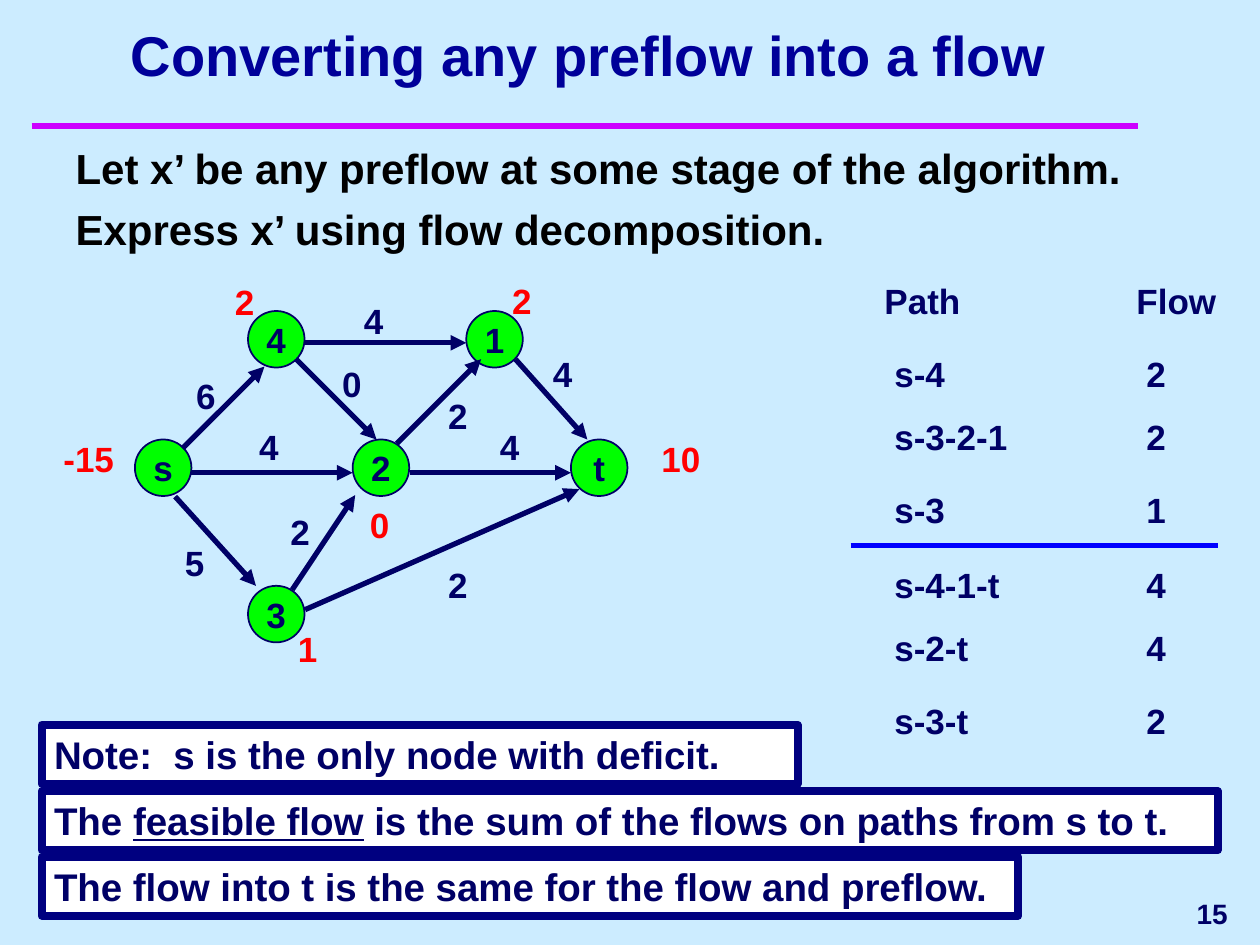
import pptx
import pptx.dml.color
import pptx.enum.shapes
import pptx.enum.text
import pptx.oxml.ns
import pptx.util
from lxml import etree

Cm = pptx.util.Cm
Pt = pptx.util.Pt
RGBColor = pptx.dml.color.RGBColor
ALIGN = pptx.enum.text.PP_ALIGN
ANCHOR = pptx.enum.text.MSO_ANCHOR
SHAPE = pptx.enum.shapes.MSO_SHAPE
qn = pptx.oxml.ns.qn

SKY = RGBColor(0xCC, 0xEC, 0xFF)
MAGENTA = RGBColor(0xCC, 0x00, 0xFF)
TITLE_BLUE = RGBColor(0x00, 0x00, 0x99)
NAVY = RGBColor(0x00, 0x00, 0x66)
FRAME_NAVY = RGBColor(0x00, 0x00, 0x80)
BLUE = RGBColor(0x00, 0x00, 0xFF)
RED = RGBColor(0xFF, 0x00, 0x00)
GREEN = RGBColor(0x00, 0xFF, 0x00)
BLACK = RGBColor(0x00, 0x00, 0x00)
WHITE = RGBColor(0xFF, 0xFF, 0xFF)

deck = pptx.Presentation()
deck.slide_width = Cm(25.4)
deck.slide_height = Cm(19.05)
page = deck.slides.add_slide(deck.slide_layouts[1])
page.background.fill.solid()
page.background.fill.fore_color.rgb = SKY


def write(box, lines, size, color, align=ALIGN.LEFT, anchor=ANCHOR.TOP):
    frame = box.text_frame
    frame.word_wrap = True
    frame.auto_size = pptx.enum.text.MSO_AUTO_SIZE.NONE
    frame.vertical_anchor = anchor
    frame.text = "\n".join(lines)
    for para in frame.paragraphs:
        para.alignment = align
        for span in para.runs:
            span.font.name = "Arial"
            span.font.size = Pt(size)
            span.font.bold = True
            span.font.color.rgb = color


def draw_line(start, end, color, width, arrow=False):
    line = page.shapes.add_connector(
        pptx.enum.shapes.MSO_CONNECTOR.STRAIGHT,
        Cm(start[0]), Cm(start[1]), Cm(end[0]), Cm(end[1]))
    line.line.color.rgb = color
    line.line.width = Pt(width)
    if arrow:
        etree.SubElement(line.line._get_or_add_ln(), qn("a:tailEnd"), type="triangle")
    etree.SubElement(line._element.spPr, qn("a:effectLst"))


draw_line((0.64, 2.54), (22.94, 2.54), MAGENTA, 4)

title = page.shapes.title
title.left, title.top, title.width, title.height = Cm(1.07), Cm(0.43), Cm(21.59), Cm(1.47)
write(title, ["Converting any preflow into a flow"], 32, TITLE_BLUE, ALIGN.CENTER, ANCHOR.BOTTOM)

body = page.placeholders[1]
body.left, body.top, body.width, body.height = Cm(1.27), Cm(2.74), Cm(23.06), Cm(2.97)
write(body, ["Let x’ be any preflow at some stage of the algorithm.",
             "Express x’ using flow decomposition."], 24, BLACK)
for para in body.text_frame.paragraphs:
    properties = para._p.get_or_add_pPr()
    properties.set("marL", str(Cm(0.95)))
    properties.set("indent", str(Cm(-0.95)))
    etree.SubElement(properties, qn("a:buNone"))
    para.space_before = Pt(0)
body.text_frame.paragraphs[1].space_before = Pt(6)

nodes = [("s", 2.72, 8.86), ("2", 7.11, 8.86), ("1", 9.4, 6.27),
         ("t", 11.51, 8.86), ("3", 5, 11.81), ("4", 5, 6.27)]
for name, left, top in nodes:
    node = page.shapes.add_shape(SHAPE.OVAL, Cm(left), Cm(top), Cm(1.14), Cm(1.14))
    node.shadow.inherit = False
    node.fill.solid()
    node.fill.fore_color.rgb = GREEN
    node.line.color.rgb = NAVY
    node.line.width = Pt(1)
    write(node, [name], 20, NAVY, ALIGN.CENTER, ANCHOR.MIDDLE)
    node.text_frame.word_wrap = False

edges = [
    ((3.68, 9.04), (5.33, 7.39), "6", 3.61, 7.42),
    ((3.53, 10.01), (5.16, 11.81), "5", 3.38, 10.8),
    ((6.15, 6.91), (9.4, 6.91), "4", 6.99, 5.92),
    ((3.86, 9.53), (7.11, 9.53), "4", 4.88, 8.46),
    ((5.97, 7.24), (7.59, 8.86), "0", 6.55, 7.19),
    ((8.26, 9.53), (11.51, 9.53), "4", 9.73, 8.46),
    ((6.15, 12.29), (11.68, 9.86), "2", 8.69, 11.23),
    ((10.39, 7.24), (11.84, 8.86), "4", 10.8, 6.99),
    ((8, 8.94), (9.7, 7.24), "2", 8.69, 7.82),
    ((5.89, 11.89), (7.16, 9.98), "2", 5.51, 10.16),
]
labels = [("2", 4.39, 5.54, 0.99, RED), ("1", 5.66, 12.52, 0.99, RED),
          ("0", 7.11, 10.03, 0.99, RED), ("2", 9.98, 5.51, 0.99, RED),
          ("10", 12.9, 8.69, 1.47, RED), ("-15", 0.64, 8.69, 1.91, RED)]
for start, end, flow, left, top in edges:
    draw_line(start, end, NAVY, 3, arrow=True)
    labels.append((flow, left, top, 0.99, NAVY))
for text, left, top, width, color in labels:
    label = page.shapes.add_textbox(Cm(left), Cm(top), Cm(width), Cm(1.12))
    write(label, [text], 20, color, ALIGN.RIGHT)

path_rows = [("Path", "Flow", 17.58, 5.51), ("s-4", "2", 17.78, 6.99),
             ("s-3-2-1", "2", 17.78, 8.26), ("s-3", "1", 17.78, 9.73),
             ("s-4-1-t", "4", 17.78, 11.23), ("s-2-t", "4", 17.78, 12.5),
             ("s-3-t", "2", 17.78, 13.97)]
for path_name, flow, left, top in path_rows:
    for text, offset, width in ((path_name, 0, 3.18), (flow, 5.08, 2.5)):
        cell = page.shapes.add_textbox(Cm(left + offset), Cm(top), Cm(width), Cm(1.12))
        write(cell, [text], 20, NAVY)
draw_line((17.15, 11), (24.56, 11), BLUE, 3)

notes = [
    (["Note:  s is the only node with deficit."], 14.61, 15.24),
    (["The ", "feasible flow", " is the sum of the flows on paths from s to t."], 15.95, 23.71),
    (["The flow into t is the same for the flow and preflow."], 17.27, 19.69),
]
for parts, top, width in notes:
    note = page.shapes.add_shape(SHAPE.RECTANGLE, Cm(0.84), Cm(top), Cm(width), Cm(1.19))
    note.shadow.inherit = False
    note.fill.solid()
    note.fill.fore_color.rgb = WHITE
    note.line.color.rgb = FRAME_NAVY
    note.line.width = Pt(4.5)
    write(note, parts[:1], 22, NAVY)
    para = note.text_frame.paragraphs[0]
    for part in parts[1:]:
        span = para.add_run()
        span.text = part
        span.font.name = "Arial"
        span.font.size = Pt(22)
        span.font.bold = True
        span.font.color.rgb = NAVY
        span.font.underline = part == "feasible flow"

page_number = page.shapes.add_textbox(Cm(20.12), Cm(17.78), Cm(4.88), Cm(1.27))
write(page_number, ["15"], 16, NAVY, ALIGN.RIGHT, ANCHOR.MIDDLE)

deck.save("out.pptx")
